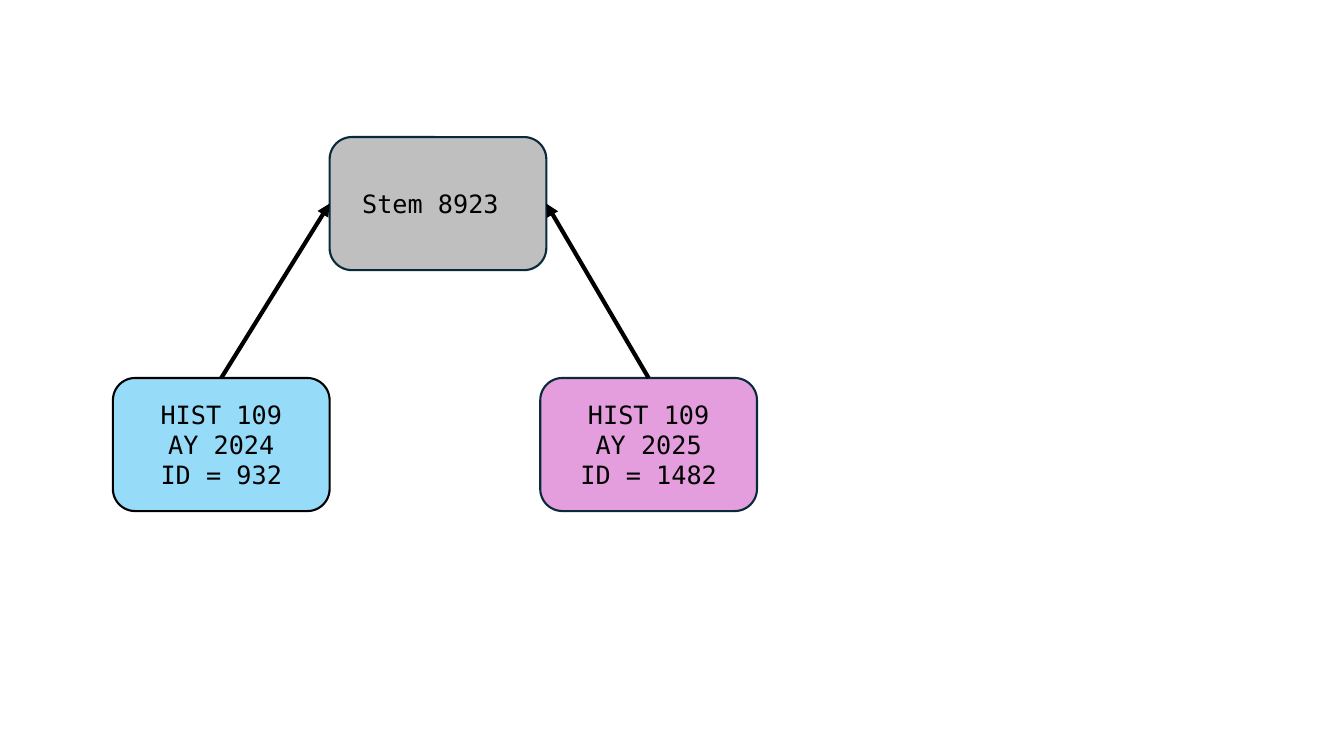
import pptx
import pptx.dml.color
import pptx.enum.shapes
import pptx.enum.text
import pptx.oxml
import pptx.oxml.ns
import pptx.util
from lxml import etree

Pt = pptx.util.Pt
RGBColor = pptx.dml.color.RGBColor

BLACK = RGBColor(0x00, 0x00, 0x00)
NAVY = RGBColor(0x09, 0x2A, 0x39)
GREY = RGBColor(0xBF, 0xBF, 0xBF)
BLUE = RGBColor(0x96, 0xDC, 0xF8)
PINK = RGBColor(0xE5, 0x9E, 0xDD)

TOP, LEFT, RIGHT = 0, 1, 3
BOX_WIDTH, BOX_HEIGHT = 154.8, 95.04
STEM_TOP, COURSE_TOP = 97.92, 270


class Diagram:
    font = "DejaVu Sans Mono"
    font_size = 18
    outline_width = 1.5
    arrow_width = 3

    def __init__(self, page):
        self.page = page

    def box(self, left, top, lines, fill, outline):
        box = self.page.shapes.add_shape(
            pptx.enum.shapes.MSO_SHAPE.ROUNDED_RECTANGLE,
            Pt(left), Pt(top), Pt(BOX_WIDTH), Pt(BOX_HEIGHT))
        box.shadow.inherit = False
        box.fill.solid()
        box.fill.fore_color.rgb = fill
        box.line.color.rgb = outline
        box.line.width = Pt(self.outline_width)
        frame = box.text_frame
        frame.word_wrap = True
        frame.vertical_anchor = pptx.enum.text.MSO_ANCHOR.MIDDLE
        for index, line in enumerate(lines):
            para = frame.add_paragraph() if index else frame.paragraphs[0]
            para.alignment = pptx.enum.text.PP_ALIGN.CENTER
            span = para.add_run()
            span.text = line
            span.font.name = self.font
            span.font.size = Pt(self.font_size)
            span.font.color.rgb = BLACK
        return box

    def arrow(self, start, start_side, end, end_side):
        arrow = self.page.shapes.add_connector(
            pptx.enum.shapes.MSO_CONNECTOR.STRAIGHT, 0, 0, 0, 0)
        arrow.begin_connect(start, start_side)
        arrow.end_connect(end, end_side)
        arrow.line.color.rgb = BLACK
        arrow.line.width = Pt(self.arrow_width)
        qn = pptx.oxml.ns.qn
        etree.SubElement(arrow.line._get_or_add_ln(), qn("a:tailEnd"), type="triangle")
        etree.SubElement(arrow._element.spPr, qn("a:effectLst"))
        return arrow


def main():
    deck = pptx.Presentation()
    deck.slide_width, deck.slide_height = Pt(960), Pt(540)
    diagram = Diagram(deck.slides.add_slide(deck.slide_layouts[6]))

    course_2025 = diagram.box(
        385.92, COURSE_TOP, ["HIST 109", "AY 2025", "ID = 1482"], PINK, NAVY)
    course_2024 = diagram.box(
        80.64, COURSE_TOP, ["HIST 109", "AY 2024", "ID = 932"], BLUE, BLACK)
    stem = diagram.box(235.44, STEM_TOP, ["Stem 8923 "], GREY, NAVY)

    diagram.arrow(course_2025, TOP, stem, RIGHT)
    diagram.arrow(course_2024, TOP, stem, LEFT)

    deck.save("out.pptx")


if __name__ == "__main__":
    main()
